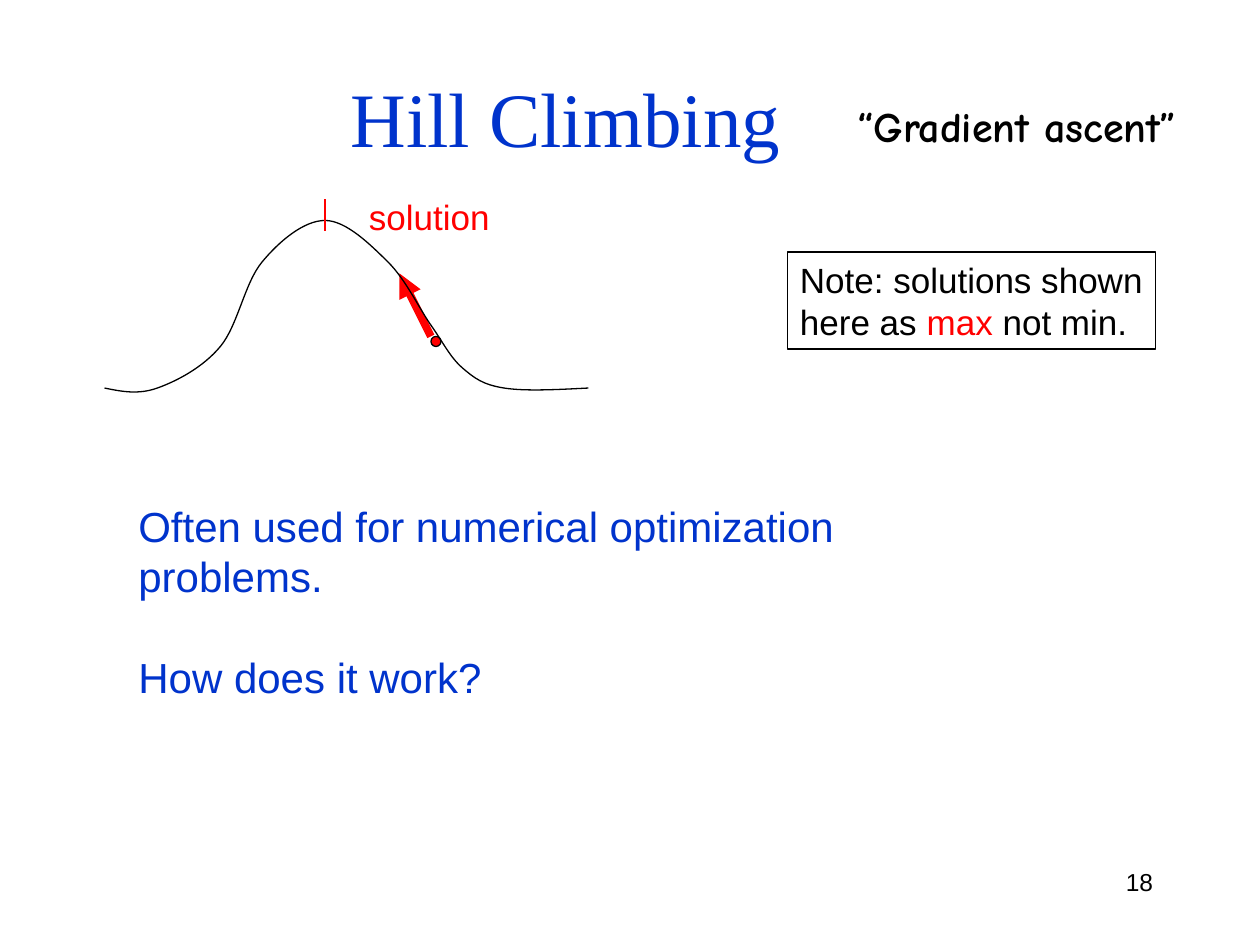
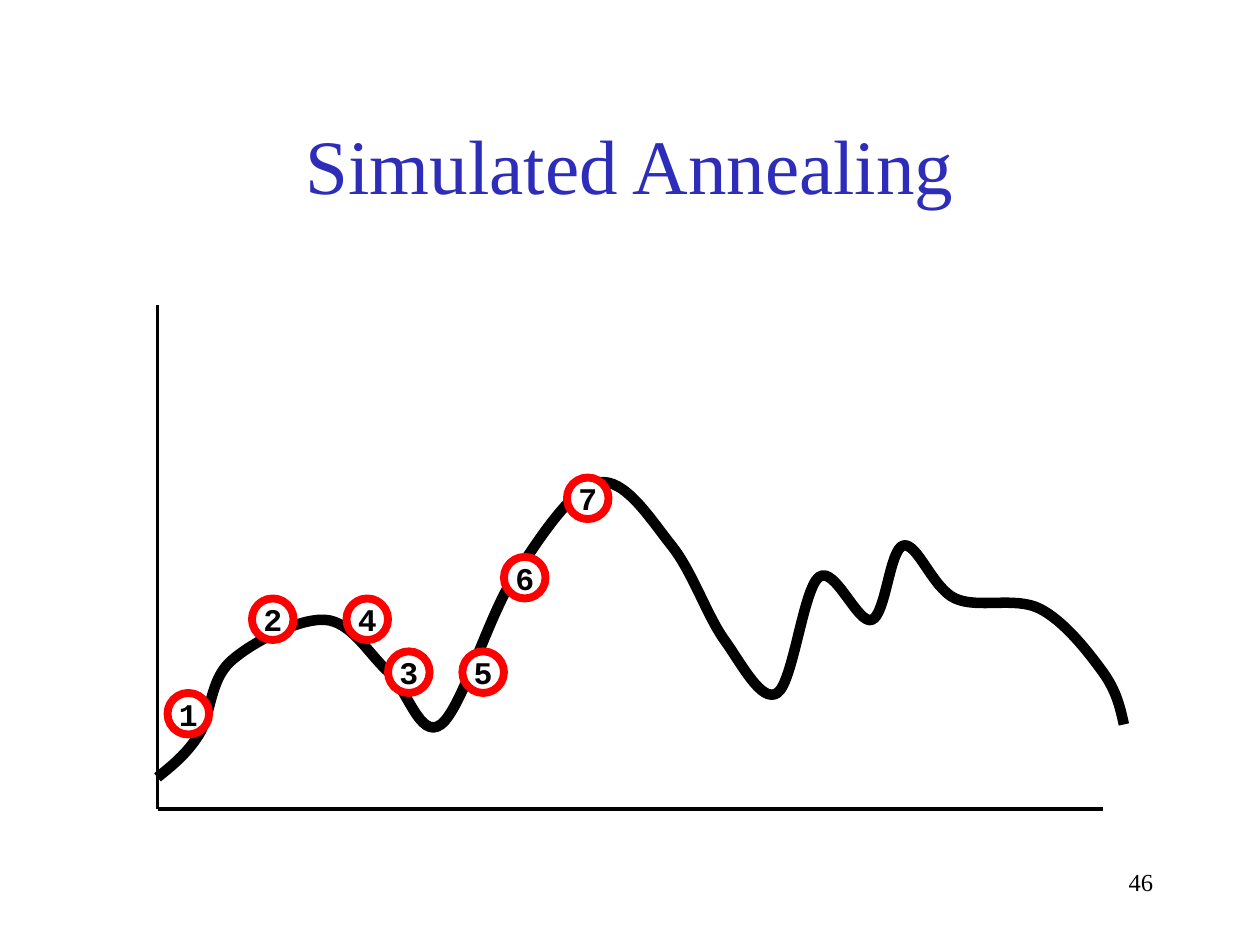
from pptx import Presentation
from pptx.dml.color import RGBColor
from pptx.enum.shapes import MSO_CONNECTOR, MSO_SHAPE
from pptx.enum.text import MSO_ANCHOR, PP_ALIGN
from pptx.oxml.ns import qn
from pptx.util import Inches, Pt
from lxml.etree import SubElement

BLACK = RGBColor(0, 0, 0)
WHITE = RGBColor(255, 255, 255)
RED = RGBColor(255, 0, 0)
BLUE = RGBColor(0, 0x33, 0xCC)
INDIGO = RGBColor(0x2D, 0x2D, 0xB9)
SANS, SERIF, HAND, MONO = "Arial", "Times New Roman", "Comic Neue", "Courier New"


def box(x, y, w, h):
    return [Inches(v) for v in (x, y, w, h)]


def write(sp, paragraphs, size, font=SANS, color=BLACK, bold=None,
          align=PP_ALIGN.LEFT, anchor=MSO_ANCHOR.TOP, wrap=False):
    tf = sp.text_frame
    tf.word_wrap = wrap
    tf.vertical_anchor = anchor
    for i, text in enumerate(paragraphs):
        p = tf.add_paragraph() if i else tf.paragraphs[0]
        p.text = text
        p.alignment = align
        p.font.size, p.font.name, p.font.bold = Pt(size), font, bold
        for r in p.runs:
            r.font.size, r.font.name, r.font.bold = Pt(size), font, bold
            r.font.color.rgb = color
    return tf


def add_text(s, at, paragraphs, size, **style):
    return write(s.shapes.add_textbox(*box(*at)), paragraphs, size, **style)


def add_shape(s, kind, at, fill, line, width):
    sp = s.shapes.add_shape(kind, *box(*at))
    sp.shadow.inherit = False
    if fill is None:
        sp.fill.background()
    else:
        sp.fill.solid()
        sp.fill.fore_color.rgb = fill
    sp.line.color.rgb = line
    sp.line.width = Pt(width)
    return sp


def add_line(s, start, end, color, width, arrow=False):
    points = [Inches(v) for v in (*start, *end)]
    cxn = s.shapes.add_connector(MSO_CONNECTOR.STRAIGHT, *points)
    cxn.line.color.rgb = color
    cxn.line.width = Pt(width)
    if arrow:
        SubElement(cxn.line._get_or_add_ln(), qn("a:tailEnd"), type="triangle")
    SubElement(cxn._element.spPr, qn("a:effectLst"))


def midpoint(a, b):
    return (a[0] + b[0]) / 2, (a[1] + b[1]) / 2


def smooth_path(sp):
    pts = [(int(pt.get("x")), int(pt.get("y"))) for pt in sp._element.iter(qn("a:pt"))]
    slopes = [((c[0] - a[0]) / 6, (c[1] - a[1]) / 6) for a, c in zip(pts, pts[2:])]
    slopes = [None, *slopes, None]
    for i, segment in enumerate(list(sp._element.iter(qn("a:lnTo")))):
        start, end = pts[i:i + 2]
        leave, arrive = slopes[i:i + 2]
        if leave:
            c1 = (start[0] + leave[0], start[1] + leave[1])
        if arrive:
            c2 = (end[0] - arrive[0], end[1] - arrive[1])
        if not leave:
            c1 = midpoint(start, c2)
        if not arrive:
            c2 = midpoint(c1, end)
        segment.tag = qn("a:cubicBezTo")
        segment.remove(segment[0])
        for x, y in (c1, c2, end):
            SubElement(segment, qn("a:pt"), x=str(round(x)), y=str(round(y)))


def add_curve(s, x, y, knots, width):
    pts = [(Inches(x + dx), Inches(y + dy)) for dx, dy in knots]
    builder = s.shapes.build_freeform(*pts[0])
    builder.add_line_segments(pts[1:], close=False)
    sp = builder.convert_to_shape()
    sp.shadow.inherit = False
    sp.fill.background()
    sp.line.color.rgb = BLACK
    sp.line.width = Pt(width)
    smooth_path(sp)


def add_frame(prs, title, title_box, title_color, number, number_font):
    s = prs.slides.add_slide(prs.slide_layouts[6])
    add_text(s, (7.17, 6.83, 2.08, 0.5), [number], 14, font=number_font,
             align=PP_ALIGN.RIGHT, wrap=True)
    add_text(s, title_box, [title], 44, font=SERIF, color=title_color,
             align=PP_ALIGN.CENTER, anchor=MSO_ANCHOR.MIDDLE, wrap=True)
    return s


def add_hill(s, x, y):
    climber = (x + 2.59, y + 1.17)
    add_shape(s, MSO_SHAPE.OVAL, (*climber, 0.08, 0.08), RED, BLACK, 0.75)
    add_line(s, climber, (x + 2.34, y + 0.67), RED, 4.5, arrow=True)
    knots = [(0, 1.58), (0.42, 1.58), (0.92, 1.25), (1.25, 0.58), (1.75, 0.25),
             (2.25, 0.58), (2.59, 1.08), (2.84, 1.42), (3.17, 1.58), (3.84, 1.58)]
    add_curve(s, x, y, knots, 0.75)
    add_text(s, (x + 2, y, 1.16, 0.44), ["solution"], 20, color=RED)
    add_line(s, (x + 1.75, y + 0.08), (x + 1.75, y + 0.33), RED, 0.75)


def add_note(s, x, y):
    sp = add_shape(s, MSO_SHAPE.RECTANGLE, (x, y, 2.92, 0.77), None, BLACK, 0.75)
    tf = write(sp, ["Note: solutions shown", "here as "], 20)
    p = tf.paragraphs[1]
    for text, color in (("max", RED), (" not min.", BLACK)):
        r = p.add_run()
        r.text = text
        r.font.size, r.font.name = Pt(20), SANS
        r.font.color.rgb = color


def hill_climbing(prs):
    s = add_frame(prs, "Hill Climbing", (0.5, 0.3, 7.98, 1.25), BLUE, "18", SANS)
    add_text(s, (6.71, 0.75, 2.73, 0.5), ["“Gradient ascent”"], 24, font=HAND, bold=True)
    add_hill(s, 0.83, 1.5)
    add_note(s, 6.25, 2)
    tf = add_text(s, (1, 3.92, 7.27, 1.3),
                  ["Often used for numerical optimization problems.", "How does it work?"],
                  24, color=BLUE)
    tf.paragraphs[1].space_before = Pt(29)


def add_landscape(s, x, y, w, h):
    add_line(s, (x, y), (x, y + h), BLACK, 2.25)
    add_line(s, (x + w, y + h), (x, y + h), BLACK, 2.25)
    knots = [(0, 3.75), (0.33, 3.41), (0.58, 2.83), (1.33, 2.5), (1.83, 2.91),
             (2.25, 3.33), (2.83, 2.16), (3.5, 1.41), (4.08, 1.91), (4.5, 2.66),
             (4.92, 3.08), (5.25, 2.16), (5.67, 2.5), (5.92, 1.91), (6.33, 2.33),
             (7, 2.41), (7.5, 2.91), (7.67, 3.33)]
    add_curve(s, x, y, knots, 6)
    steps = [(0.08, 3.08), (0.75, 2.33), (1.83, 2.75), (1.5, 2.33),
             (2.42, 2.75), (2.75, 2), (3.25, 1.37)]
    for number, (dx, dy) in enumerate(steps, 1):
        sp = add_shape(s, MSO_SHAPE.OVAL, (x + dx, y + dy, 0.33, 0.33), WHITE, RED, 4.5)
        write(sp, [str(number)], 18, font=MONO, bold=True,
              align=PP_ALIGN.CENTER, anchor=MSO_ANCHOR.MIDDLE)


def simulated_annealing(prs):
    s = add_frame(prs, "Simulated Annealing", (0.75, 0.67, 8.5, 1.25), INDIGO, "46", SERIF)
    add_landscape(s, 1.25, 2.42, 7.5, 4)


def main():
    prs = Presentation()
    prs.slide_width, prs.slide_height = Inches(10), Inches(7.5)
    hill_climbing(prs)
    simulated_annealing(prs)
    prs.save("out.pptx")


if __name__ == "__main__":
    main()
